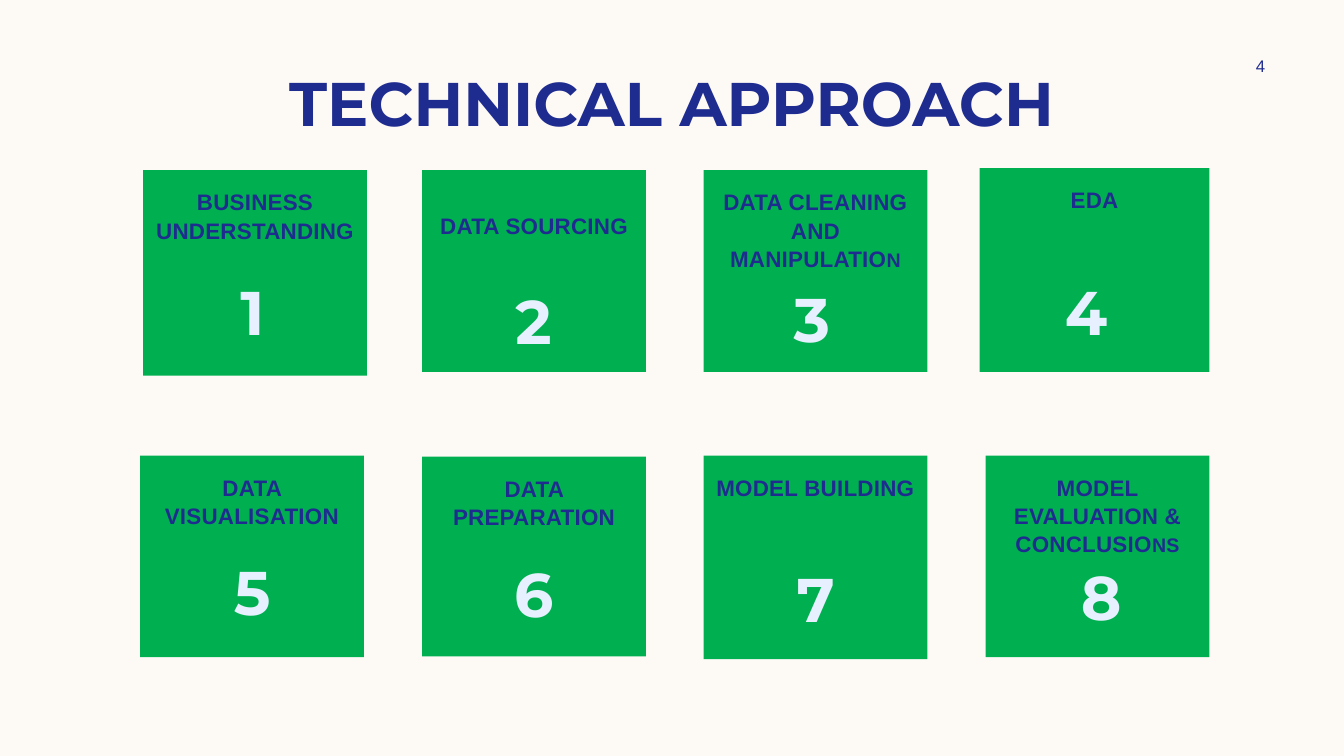
"""Build the Technical Approach slide: eight numbered project steps."""
from pptx import Presentation
from pptx.dml.color import RGBColor
from pptx.enum.shapes import MSO_SHAPE
from pptx.enum.text import MSO_ANCHOR, PP_ALIGN
from pptx.util import Cm, Pt


def color(value):
    return RGBColor.from_string(value)


def write(p, text, fmt, fill, spacing=None):
    p.alignment = PP_ALIGN.CENTER
    r = p.add_run()
    r.text = text
    for key, value in fmt.items():
        setattr(r.font, key, value)
    r.font.color.rgb = color(fill)
    if spacing:
        r.font._element.set("spc", spacing)


NAVY, GREEN, PALE, CREAM = "1F2C8F", "00B050", "E6F0FE", "FDFAF6"
HEADING = {"name": "Montserrat", "size": Pt(44), "bold": True}
LABEL = {"name": "Arial", "size": Pt(16), "bold": True}
SMALL = {**LABEL, "size": Pt(14)}
PAGE = {"name": "Arial", "size": Pt(12)}
CARD_TOP_INSET, BLANK_LINE = 0.43, 0.6

prs = Presentation()
prs.slide_width, prs.slide_height = Cm(33.87), Cm(19.05)
s = prs.slides.add_slide(prs.slide_layouts[6])
s.background.fill.solid()
s.background.fill.fore_color.rgb = color(CREAM)

steps = [
    (["BUSINESS UNDERSTANDING"], "", (3.61, 4.29, 5.64, 5.18), (5.51, 6.78)),
    (["DATA SOURCING"], "", (10.64, 4.29, 5.64, 5.08), (12.6, 7.01)),
    (["DATA CLEANING", "AND", "MANIPULATIO"], "N", (17.73, 4.29, 5.64, 5.08), (19.61, 6.96)),
    (["EDA"], "", (24.69, 4.24, 5.79, 5.13), (26.52, 6.78)),
    (["DATA VISUALISATION"], "", (3.53, 11.48, 5.64, 5.08), (5.51, 13.84)),
    (["DATA PREPARATION"], "", (10.64, 11.51, 5.64, 5.03), (12.6, 13.89)),
    (["MODEL BUILDING"], "", (17.73, 11.48, 5.64, 5.13), (19.71, 14.02)),
    (["MODEL EVALUATION &", "CONCLUSIO"], "NS", (24.84, 11.48, 5.64, 5.08), (26.9, 13.97)),
]

for lines, ending, card, _ in steps:
    sp = s.shapes.add_shape(MSO_SHAPE.RECTANGLE, *map(Cm, card))
    sp.shadow.inherit = False
    sp.fill.solid()
    sp.fill.fore_color.rgb = color(GREEN)
    sp.line.fill.background()
    tf = sp.text_frame
    tf.word_wrap = True
    tf.vertical_anchor = MSO_ANCHOR.TOP
    tf.margin_left = tf.margin_right = 0
    lowered = lines == ["DATA SOURCING"]
    tf.margin_top = Cm(CARD_TOP_INSET + BLANK_LINE * lowered)
    for i, line in enumerate(lines):
        p = tf.add_paragraph() if i else tf.paragraphs[0]
        p.line_spacing = 1.05
        write(p, line, LABEL, NAVY, "20")
    if ending:
        write(p, ending, SMALL, NAVY, "20")

texts = [
    ("TECHNICAL APPROACH", (2.11, 1.5, 29.64, 2.13), HEADING, NAVY, MSO_ANCHOR.TOP),
    ("4", (30.4, 1.27, 2.74, 0.76), PAGE, NAVY, MSO_ANCHOR.MIDDLE),
]
for number, (*_, corner) in enumerate(steps, 1):
    texts.append((str(number), (*corner, 1.7, 1.7), HEADING, PALE, MSO_ANCHOR.TOP))

for text, box, fmt, fill, anchor in texts:
    tf = s.shapes.add_textbox(*map(Cm, box)).text_frame
    tf.word_wrap = True
    tf.vertical_anchor = anchor
    write(tf.paragraphs[0], text, fmt, fill)

prs.save("out.pptx")
